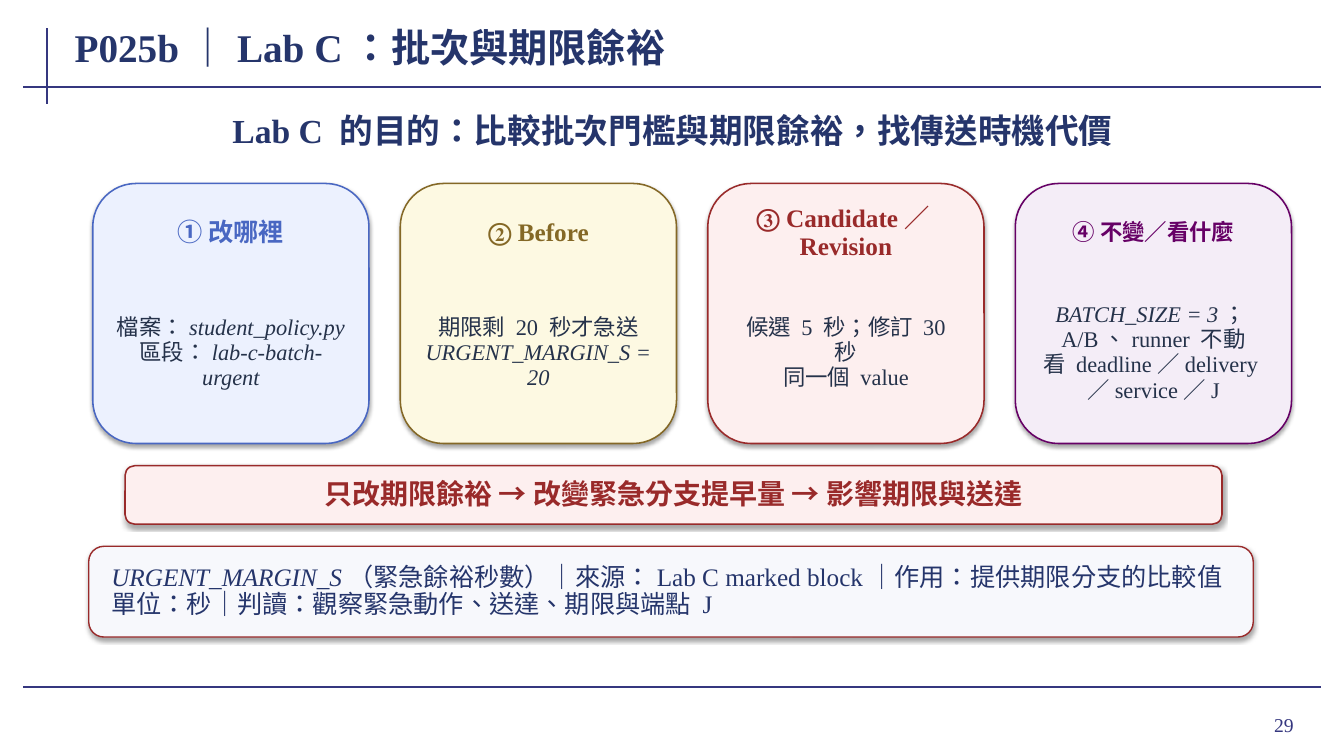
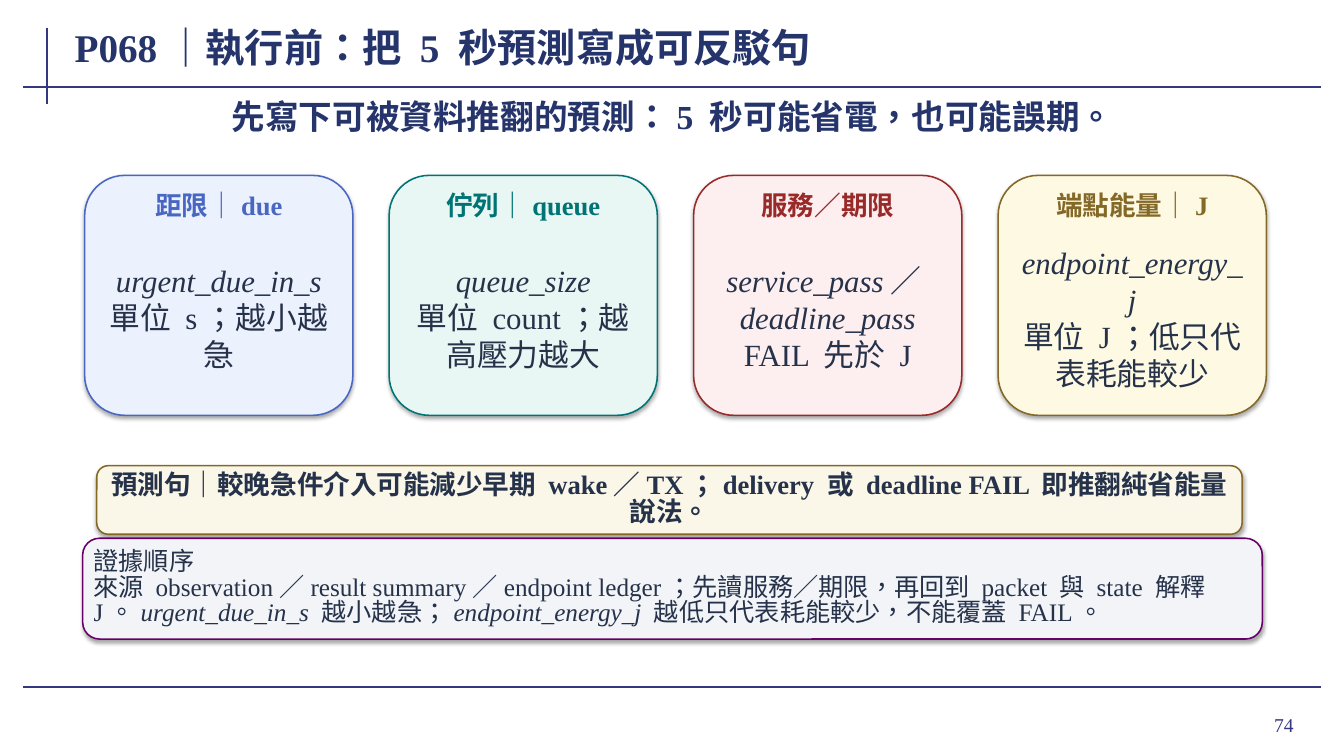
import pptx
import pptx.dml.color
import pptx.enum.lang
import pptx.enum.shapes
import pptx.enum.text
import pptx.oxml.ns
import pptx.util
from lxml import etree

Inches, Pt = pptx.util.Inches, pptx.util.Pt
ALIGN = pptx.enum.text.PP_ALIGN
FONT = "Times New Roman"
COLOURS = {
    "rule": "35377F", "title": "25356B", "ink": "25324A",
    "blue": "4967C2", "gold": "846826", "red": "992A2A", "purple": "660066", "teal": "007374",
    "pale blue": "ECF1FE", "pale gold": "FDF9E2", "pale red": "FDEFEF",
    "pale purple": "F4EDF7", "pale teal": "E8F7F4",
    "mist": "F7F8FC", "cream": "FAF7E8", "grey": "F2F4F8",
}
RULES = [((0.47, 0.28), (0.47, 1.03)), ((0.23, 0.86), (13.1, 0.86)), ((0.23, 6.82), (13.1, 6.82))]

# Text between asterisks is italic. Cards: colour, heading, heading size, body lines.
SLIDES = [
    {
        "number": "29",
        "title": "P025b｜Lab C：批次與期限餘裕",
        "lead": {"text": ["Lab C 的目的：比較批次門檻與期限餘裕，找傳送時機代價"],
                 "at": (1.02, 1.05, 11.3, 0.52), "spacing": 0.96},
        "grid": {"left": 0.92, "top": 1.82, "width": 2.74, "height": 2.58, "pitch": 3.05},
        "heading": {"side": 0.16, "top": 2.02, "height": 0.58, "insets": (0.03, 0.01), "spacing": 0.92},
        "body": {"side": 0.18, "top": 2.8, "height": 1.4, "insets": (0.05, 0.01),
                 "spacing": 0.94, "size": 16},
        "cards": [
            ("blue", "① 改哪裡", 18, ["檔案：*student_policy.py*", "區段：*lab-c-batch-urgent*"]),
            ("gold", "② Before", 18, ["期限剩 20 秒才急送", "*URGENT_MARGIN_S = 20*"]),
            ("red", "③ Candidate／Revision", 18, ["候選 5 秒；修訂 30 秒", "同一個 value"]),
            ("purple", "④ 不變／看什麼", 16,
             ["*BATCH_SIZE = 3*；A/B、runner 不動", "看 deadline／delivery／service／J"]),
        ],
        "bands": [
            {"at": (1.24, 4.62, 10.88, 0.58), "fill": "pale red", "line": "red",
             "text": ["只改期限餘裕 → 改變緊急分支提早量 → 影響期限與送達"],
             "style": {"size": 20, "colour": "red", "bold": True, "align": ALIGN.CENTER,
                       "insets": (0.12, 0.04), "spacing": 0.95}},
            {"at": (0.88, 5.42, 11.55, 0.9), "fill": "mist", "line": "red", "weight": 1,
             "text": ["*URGENT_MARGIN_S*（緊急餘裕秒數）｜來源：Lab C marked block｜作用：提供期限分支的比較值",
                      "單位：秒｜判讀：觀察緊急動作、送達、期限與端點 J"],
             "style": {"size": 18, "colour": "title", "insets": (0.18, 0.03), "spacing": 0.9}},
        ],
    },
    {
        "number": "74",
        "title": "P068｜執行前：把 5 秒預測寫成可反駁句",
        "lead": {"text": ["先寫下可被資料推翻的預測：5 秒可能省電，也可能誤期。"],
                 "at": (0.82, 0.93, 11.7, 0.45), "spacing": 1.0},
        "grid": {"left": 0.84, "top": 1.74, "width": 2.66, "height": 2.38, "pitch": 3.02},
        "heading": {"side": 0.14, "top": 1.82, "height": 0.42, "insets": (0.08, 0.04), "spacing": 1.0},
        "body": {"side": 0.15, "top": 2.28, "height": 1.74, "insets": (0.08, 0.04),
                 "spacing": 1.0, "size": 22},
        "cards": [
            ("blue", "距限｜due", 19, ["*urgent_due_in_s*", "單位 s；越小越急"]),
            ("teal", "佇列｜queue", 19, ["*queue_size*", "單位 count；越高壓力越大"]),
            ("red", "服務／期限", 19, ["*service_pass*／*deadline_pass*", "FAIL 先於 J"]),
            ("gold", "端點能量｜J", 19, ["*endpoint_energy_j*", "單位 J；低只代表耗能較少"]),
        ],
        "bands": [
            {"at": (0.96, 4.62, 11.36, 0.68), "fill": "cream", "line": "gold",
             "text": ["預測句｜較晚急件介入可能減少早期 wake／TX；delivery 或 deadline FAIL 即推翻純省能量說法。"],
             "style": {"size": 19, "colour": "ink", "bold": True, "align": ALIGN.CENTER,
                       "insets": (0.08, 0.02), "spacing": 0.84}},
            {"at": (0.82, 5.34, 11.7, 1), "fill": "grey", "line": "purple",
             "text": ["證據順序",
                      "來源 observation／result summary／endpoint ledger；先讀服務／期限，再回到 packet 與 state 解釋 J。"
                      "*urgent_due_in_s* 越小越急；*endpoint_energy_j* 越低只代表耗能較少，不能覆蓋 FAIL。"],
             "style": {"size": 18, "colour": "ink", "insets": (0.06, 0.02), "spacing": 0.84}},
        ],
    },
]


def rgb(name):
    return pptx.dml.color.RGBColor.from_string(COLOURS[name])


def write(box, lines, size, colour, bold=False, align=ALIGN.LEFT, insets=(0.02, 0), spacing=1.0):
    """Fill the box with one paragraph a line; asterisks enclose italics."""
    frame = box.text_frame
    across, down = map(Inches, insets)
    frame_format = {
        "word_wrap": True, "vertical_anchor": pptx.enum.text.MSO_ANCHOR.MIDDLE,
        "margin_left": across, "margin_right": across, "margin_top": down, "margin_bottom": down,
    }
    for name, value in frame_format.items():
        setattr(frame, name, value)
    for index, line in enumerate(lines):
        paragraph = frame.add_paragraph() if index else frame.paragraphs[0]
        paragraph.alignment = align
        paragraph.line_spacing = spacing
        for part, text in enumerate(line.split("*")):
            if not text:
                continue
            span = paragraph.add_run()
            span.text = text
            font_format = {
                "name": FONT, "size": Pt(size), "bold": bold, "italic": part % 2 == 1,
                "language_id": pptx.enum.lang.MSO_LANGUAGE_ID.TRADITIONAL_CHINESE,
            }
            for name, value in font_format.items():
                setattr(span.font, name, value)
            span.font.color.rgb = rgb(colour)


def add_text(page, at, lines, grow=True, **style):
    box = page.shapes.add_textbox(*map(Inches, at))
    write(box, lines, **style)
    if grow:
        box.text_frame.auto_size = pptx.enum.text.MSO_AUTO_SIZE.SHAPE_TO_FIT_TEXT


def add_panel(page, at, fill, line, weight=1.1):
    """Add a rounded panel with a soft shadow below it."""
    panel = page.shapes.add_shape(pptx.enum.shapes.MSO_SHAPE.ROUNDED_RECTANGLE, *map(Inches, at))
    panel.fill.solid()
    panel.fill.fore_color.rgb = rgb(fill)
    panel.line.color.rgb = rgb(line)
    panel.line.width = Pt(weight)
    panel.shadow.inherit = False
    qn = pptx.oxml.ns.qn
    effects = panel.element.spPr.find(qn("a:effectLst"))
    shadow = etree.SubElement(effects, qn("a:outerShdw"), blurRad=str(Pt(3.1)), dist=str(Pt(1.8)),
                              dir="5400000", algn="t", rotWithShape="0")
    black = etree.SubElement(shadow, qn("a:srgbClr"), val="000000")
    etree.SubElement(black, qn("a:alpha"), val="35000")
    return panel


def add_frame(page, title, number):
    """Add the rules, title and page number that every slide has."""
    for start, end in RULES:
        rule = page.shapes.add_connector(pptx.enum.shapes.MSO_CONNECTOR.STRAIGHT,
                                         *map(Inches, start + end))
        rule.line.color.rgb = rgb("rule")
        rule.line.width = Pt(1.5)
        etree.SubElement(rule.element.spPr, pptx.oxml.ns.qn("a:effectLst"))
    add_text(page, (11.96, 6.93, 0.97, 0.52), [number], grow=False, size=14, colour="rule",
             align=ALIGN.RIGHT, insets=(0.1, 0.05))
    add_text(page, (0.72, 0.2, 10.35, 0.53), [title], grow=False, size=28, colour="title", bold=True)


def add_cards(page, cards, grid, heading, body):
    for index, (colour, title, title_size, lines) in enumerate(cards):
        left = grid["left"] + index * grid["pitch"]
        add_panel(page, (left, grid["top"], grid["width"], grid["height"]), "pale " + colour, colour)
        parts = [
            (heading, [title], {"size": title_size, "colour": colour, "bold": True}),
            (body, lines, {"size": body["size"], "colour": "ink"}),
        ]
        for area, text, style in parts:
            at = (left + area["side"], area["top"], grid["width"] - 2 * area["side"], area["height"])
            add_text(page, at, text, align=ALIGN.CENTER, insets=area["insets"],
                     spacing=area["spacing"], **style)


def main():
    deck = pptx.Presentation()
    deck.slide_width, deck.slide_height = Inches(13.33), Inches(7.5)
    for content in SLIDES:
        page = deck.slides.add_slide(deck.slide_layouts[6])
        add_frame(page, content["title"], content["number"])
        lead = content["lead"]
        add_text(page, lead["at"], lead["text"], size=24, colour="title", bold=True,
                 align=ALIGN.CENTER, spacing=lead["spacing"])
        add_cards(page, content["cards"], content["grid"], content["heading"], content["body"])
        for band in content["bands"]:
            panel = add_panel(page, band["at"], band["fill"], band["line"], band.get("weight", 1.1))
            write(panel, band["text"], **band["style"])
    deck.save("out.pptx")


if __name__ == "__main__":
    main()
